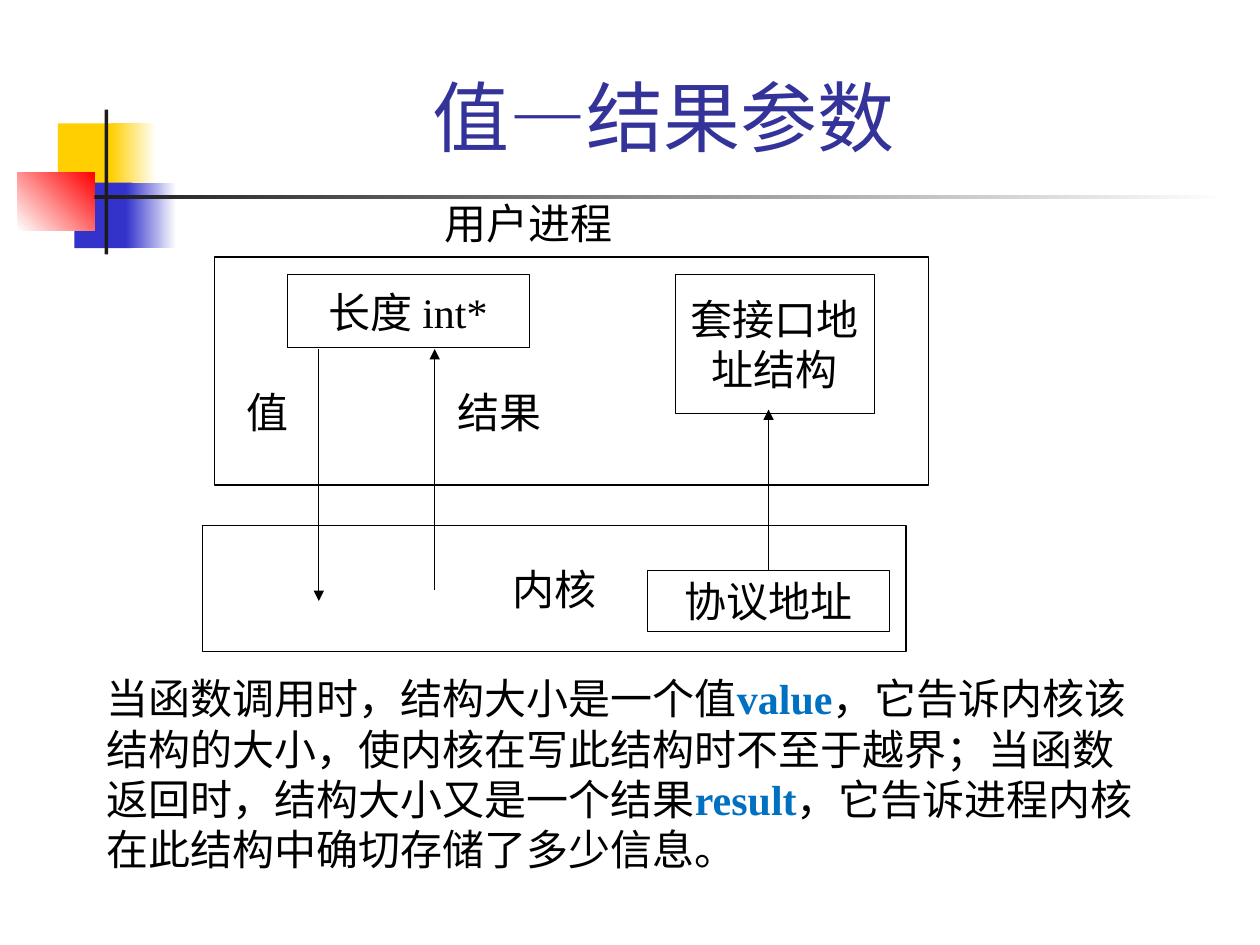
from pptx import Presentation
from pptx.dml.color import RGBColor
from pptx.enum.shapes import MSO_CONNECTOR as Line, MSO_SHAPE as Shape
from pptx.enum.text import MSO_ANCHOR as Anchor, MSO_AUTO_SIZE as Auto, PP_ALIGN as Align
from pptx.oxml.ns import qn
from pptx.util import Inches, Pt
from lxml import etree


def color(code):
    return RGBColor.from_string(code)


def write(shape, *parts, size=24, font="Times New Roman", ink="000000",
          mark="0070C0", align=Align.LEFT, anchor=Anchor.TOP):
    """Fill one paragraph; every second part is bold in the mark colour."""
    frame = shape.text_frame
    frame.word_wrap = True
    frame.auto_size = Auto.NONE
    frame.vertical_anchor = anchor
    para = frame.paragraphs[0]
    para.alignment = align
    for i, part in enumerate(parts):
        run = para.add_run()
        run.text = part
        run.font.size = Pt(size)
        run.font.name = font
        run.font.bold = i % 2 == 1
        run.font.color.rgb = color(mark if i % 2 else ink)


deck = Presentation()
deck.slide_width, deck.slide_height = Inches(10), Inches(7.5)
slide = deck.slides.add_slide(deck.slide_layouts[5])
shapes = slide.shapes

# Corner ornament: box, colours from start to end, gradient angle
decor = [
    ((0.46, 0.98, 0.48, 0.52), ["FFCF01"], 0),
    ((0.88, 0.98, 0.36, 0.52), ["FFCF01", "FFFFFF"], 0),
    ((0.59, 1.45, 0.46, 0.52), ["3333CC"], 0),
    ((1, 1.45, 0.4, 0.52), ["3333CC", "FFFFFF"], 0),
    ((0.14, 1.37, 0.61, 0.46), ["FFFFFF", "FF0000"], 45),
    ((0.83, 0.87, 0.03, 1.15), ["1C1C1C"], 0),
    ((0.75, 1.55, 9, 0.03), ["1C1C1C", "FFFFFF"], 0),
]
for place, tones, angle in decor:
    block = shapes.add_shape(Shape.RECTANGLE, *map(Inches, place))
    block.shadow.inherit = False
    block.line.fill.background()
    if len(tones) == 1:
        block.fill.solid()
        block.fill.fore_color.rgb = color(tones[0])
    else:
        block.fill.gradient()
        block.fill.gradient_angle = angle
        for stop, tone in zip(block.fill.gradient_stops, tones):
            stop.color.rgb = color(tone)

title = shapes.title
title.left, title.top, title.width, title.height = map(Inches, (3.33, 0.5, 4.03, 0.84))
write(title, "值—结果参数", size=44, font="Lato", ink="333399")

# Process, kernel and the data they hold
boxes = [
    ("", 1.7, 2.04, 5.67, 1.81),
    ("内核", 1.61, 4.17, 5.58, 1),
    ("长度 int*", 2.28, 2.18, 1.92, 0.58),
    ("套接口地址结构", 5.36, 2.18, 1.58, 1.1),
    ("协议地址", 5.14, 4.53, 1.92, 0.48),
]
for text, *place in boxes:
    box = shapes.add_shape(Shape.RECTANGLE, *map(Inches, place))
    box.shadow.inherit = False
    box.fill.solid()
    box.fill.fore_color.rgb = color("FFFFFF")
    box.line.color.rgb = color("000000")
    box.line.width = Pt(0.75)
    if text:
        write(box, text, align=Align.CENTER, anchor=Anchor.MIDDLE)
proto = box

# Arrows: x, start y, end y, box at the start
arrows = [
    (2.53, 2.77, 4.77, None),
    (3.45, 4.68, 2.77, None),
    (6.1, 4.53, 3.25, proto),
]
for x, start, end, source in arrows:
    arrow = shapes.add_connector(Line.STRAIGHT, *map(Inches, (x, start, x, end)))
    if source is not None:
        arrow.begin_connect(source, 0)
    arrow.line.color.rgb = color("000000")
    arrow.line.width = Pt(0.75)
    etree.SubElement(arrow.line._get_or_add_ln(), qn("a:tailEnd"), type="triangle")
    etree.SubElement(arrow._element.spPr, qn("a:effectLst"))

notes = [
    (("用户进程",), 3.43, 1.52, 1.92, 0.5),
    (("结果",), 3.53, 3.02, 1.17, 0.5),
    (("值",), 1.86, 3.02, 0.67, 0.5),
    (("当函数调用时，结构大小是一个值", "value",
      "，它告诉内核该结构的大小，使内核在写此结构时不至于越界；当函数返回时，结构大小又是一个结果",
      "result", "，它告诉进程内核在此结构中确切存储了多少信息。"), 0.75, 5.29, 8.35, 1.72),
]
for parts, *place in notes:
    write(shapes.add_textbox(*map(Inches, place)), *parts)

deck.save("out.pptx")
